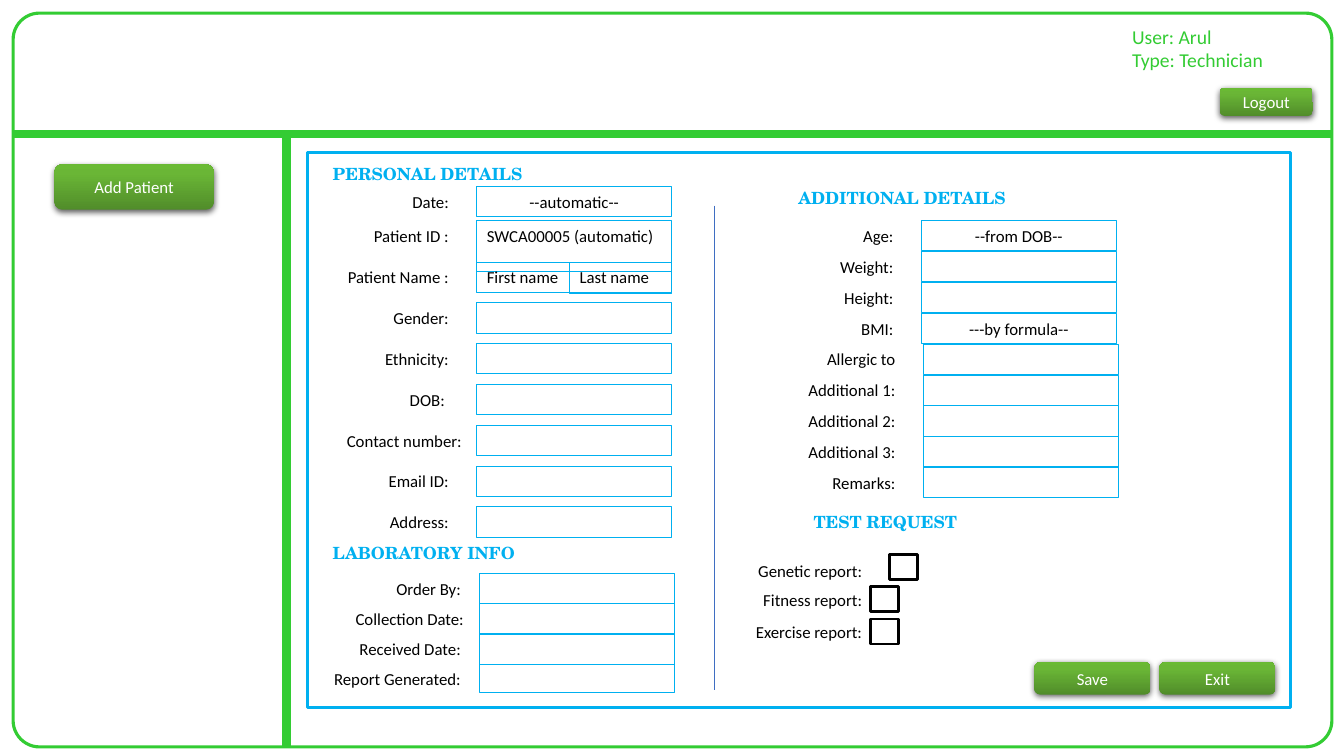
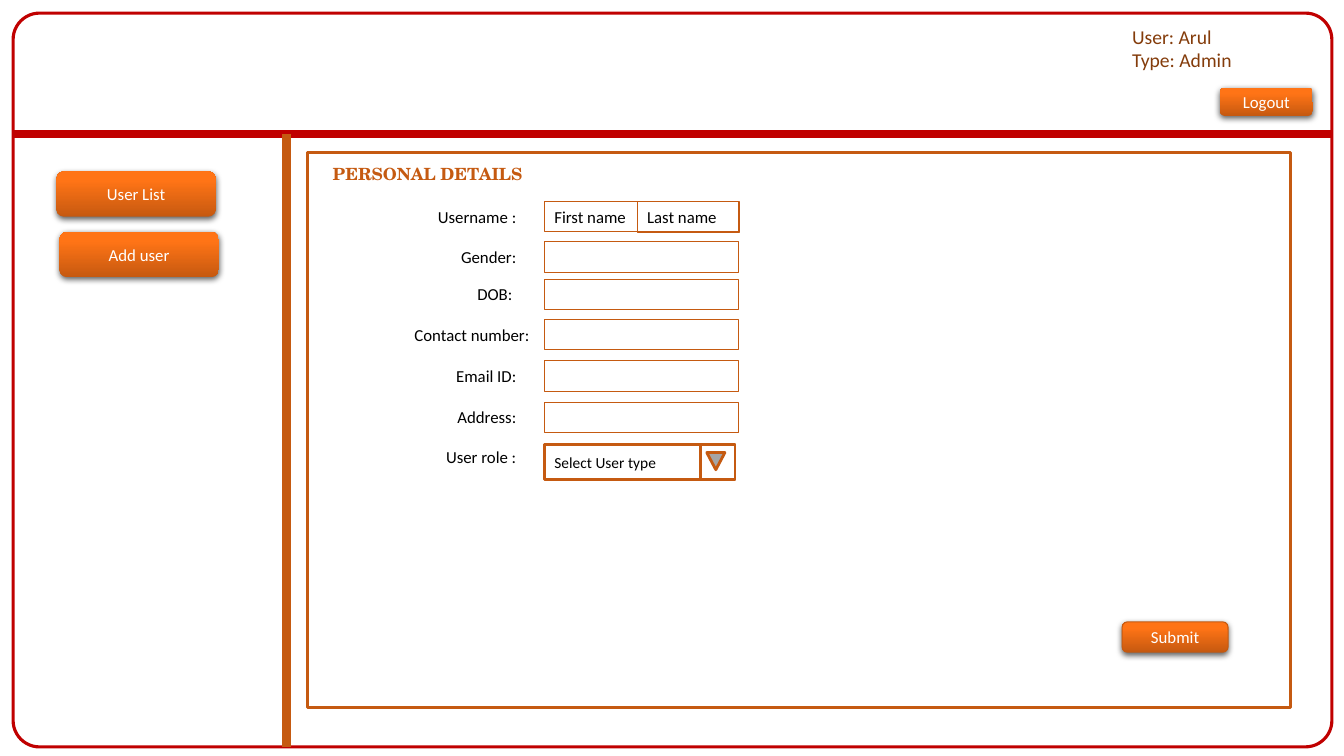
from copy import deepcopy
from dataclasses import dataclass

from pptx import Presentation
from pptx.dml.color import RGBColor
from pptx.enum.shapes import MSO_CONNECTOR, MSO_SHAPE
from pptx.enum.text import MSO_ANCHOR, PP_ALIGN
from pptx.oxml import parse_xml
from pptx.oxml.ns import nsdecls, qn
from pptx.util import Inches, Pt

BODY_FONT = "Calibri"
HEADING_FONT = "TeX Gyre Schola"
COLORS = {"black": "000000", "white": "FFFFFF", "divider": "3F6EC2", "arrow": "A5A5A5"}
TECHNICIAN = {
    "frame": "33CC33", "sidebar": "33CC33", "user": "33CC33", "form": "00B0F0",
    "button": ["518D2A", "6AB636", "6ABA34"],
}
ADMIN = {
    "frame": "C00000", "sidebar": "C55A11", "user": "843C0B", "form": "C55A11",
    "button": ["C65910", "FF7416", "FF7517"],
}
FRAME = (0.13, 0.13, 13.08, 7.28)
PANEL = (3.05, 1.51, 9.75, 5.51)
FIELD_WIDTH, FIELD_HEIGHT = 1.93, 0.3
SIDE_BUTTON = (1.58, 0.45)


@dataclass
class Field:
    label: str
    value: str = ""
    align: PP_ALIGN = PP_ALIGN.LEFT
    height: float = FIELD_HEIGHT
    nudge: float = 0
    second_value: str = ""


def rgb(color):
    return RGBColor.from_string(color)


def write(shape, text, color=COLORS["black"], size=12, font=BODY_FONT, bold=False,
          align=PP_ALIGN.LEFT, anchor=MSO_ANCHOR.TOP):
    frame = shape.text_frame
    frame.word_wrap = True
    frame.vertical_anchor = anchor
    frame.text = text
    for paragraph in frame.paragraphs:
        paragraph.alignment = align
        for run in paragraph.runs:
            run.font.name = font
            run.font.size = Pt(size)
            run.font.bold = bold
            run.font.color.rgb = rgb(color)


def add_text(slide, box, text, **style):
    write(slide.shapes.add_textbox(*map(Inches, box)), text, **style)


def add_outline(slide, box, color, width=0.75, kind=MSO_SHAPE.RECTANGLE, fill=None):
    shape = slide.shapes.add_shape(kind, *map(Inches, box))
    shape.shadow.inherit = False
    if fill:
        shape.fill.solid()
        shape.fill.fore_color.rgb = rgb(fill)
    else:
        shape.fill.background()
    shape.line.color.rgb = rgb(color)
    shape.line.width = Pt(width)
    return shape


def add_line(slide, start, end, color, width):
    line = slide.shapes.add_connector(
        MSO_CONNECTOR.STRAIGHT, *map(Inches, (*start, *end)))
    line.line.color.rgb = rgb(color)
    line.line.width = Pt(width)
    line._element.spPr.append(parse_xml(f"<a:effectLst {nsdecls('a')}/>"))


def add_button(slide, theme, box, text, line_color=None):
    button = slide.shapes.add_shape(MSO_SHAPE.ROUNDED_RECTANGLE, *map(Inches, box))
    button.fill.gradient()
    button.fill.gradient_angle = 90
    stops = button._element.spPr.find(".//" + qn("a:gsLst"))
    stops.append(deepcopy(stops[-1]))
    for stop, color, position in zip(button.fill.gradient_stops, theme["button"], (0, 0.8, 1)):
        stop.color.rgb = rgb(color)
        stop.position = position
    if line_color:
        button.line.color.rgb = rgb(line_color)
        button.line.width = Pt(0.75)
    else:
        button.line.fill.background()
    button.shadow.inherit = False
    button._element.spPr.find(qn("a:effectLst")).append(parse_xml(
        f'<a:outerShdw {nsdecls("a")} blurRad="57150" dist="19050" dir="5400000" '
        'algn="ctr" rotWithShape="0"><a:srgbClr val="000000">'
        '<a:alpha val="63000"/></a:srgbClr></a:outerShdw>'))
    write(button, text, COLORS["white"], align=PP_ALIGN.CENTER, anchor=MSO_ANCHOR.MIDDLE)


def add_heading(slide, theme, left, top, text):
    add_text(slide, (left, top, 3.01, FIELD_HEIGHT), text, color=theme["form"],
             font=HEADING_FONT, bold=True)


def add_label(slide, right, top, text):
    add_text(slide, (right - FIELD_WIDTH, top, FIELD_WIDTH, FIELD_HEIGHT), text,
             align=PP_ALIGN.RIGHT)


def add_fields(slide, theme, left, tops, fields, gap=0.18):
    """Stack entry boxes at left, each with its label ending a gap before it."""
    for top, field in zip(tops, fields):
        add_label(slide, left - gap + field.nudge, top, field.label)
        entry = add_outline(slide, (left, top, FIELD_WIDTH, field.height), theme["form"])
        if field.value:
            write(entry, field.value, align=field.align)
        if field.second_value:
            second = add_outline(slide, (left + 0.92, top, 1.01, 0.31), theme["form"])
            write(second, field.second_value)


def evenly(top, pitch, count):
    return [top + pitch * i for i in range(count)]


def name_field(label):
    return Field(label, "First name", second_value="Last name")


def contact_fields():
    return [
        Field("DOB:", nudge=-0.04),
        Field("Contact number:", nudge=0.13),
        Field("Email ID:"),
        Field("Address:"),
    ]


def screen(prs, theme, user_type):
    """Start a slide with the frame, header, sidebar rule and form panel."""
    slide = prs.slides.add_slide(prs.slide_layouts[6])
    left, top, width, height = FRAME
    frame = add_outline(slide, FRAME, theme["frame"], 2.25, MSO_SHAPE.ROUNDED_RECTANGLE)
    frame.adjustments[0] = 0.036
    header_bottom, sidebar_right = top + 1.2, left + 2.71
    add_line(slide, (left, header_bottom), (left + width, header_bottom), theme["frame"], 6)
    add_line(slide, (sidebar_right, header_bottom), (sidebar_right, top + height),
             theme["sidebar"], 6)
    add_text(slide, (left + 11, top + 0.02, 1.89, 0.66), f"User: Arul\nType: {user_type}",
             color=theme["user"], size=14, anchor=MSO_ANCHOR.MIDDLE)
    add_button(slide, theme, (left + 11.97, top + 0.74, 0.92, 0.28), "Logout")
    add_outline(slide, PANEL, theme["form"], 2)
    return slide


def patient_details(slide, theme, left, top):
    add_heading(slide, theme, left, top, "PERSONAL DETAILS")
    fields = [
        Field("Date:", "--automatic--", PP_ALIGN.CENTER),
        Field("Patient ID :", "SWCA00005 (automatic)", height=0.5),
        name_field("Patient Name :"),
        Field("Gender:"),
        Field("Ethnicity:"),
        *contact_fields(),
    ]
    tops = [top + 0.27, top + 0.61, *evenly(top + 1.02, 2.43 / 6, 7)]
    add_fields(slide, theme, left + 1.53, tops, fields)


def laboratory_info(slide, theme, left, top):
    add_heading(slide, theme, left, top, "LABORATORY INFO")
    fields = [
        Field("Order By:", nudge=-0.03),
        Field("Collection Date:"),
        Field("Received Date:", nudge=-0.03),
        Field("Report Generated:", height=0.28, nudge=-0.03),
    ]
    add_fields(slide, theme, left + 1.56, evenly(top + 0.35, 0.3, 4), fields, gap=0.06)


def additional_details(slide, theme, left, top):
    add_heading(slide, theme, left, top, "ADDITIONAL DETAILS")
    measures = [
        Field("Age:", "--from DOB--", PP_ALIGN.CENTER),
        Field("Weight:"),
        Field("Height:"),
        Field("BMI:", "---by formula--", PP_ALIGN.CENTER),
    ]
    extras = [Field(label) for label in (
        "Allergic to", "Additional 1:", "Additional 2:", "Additional 3:", "Remarks:")]
    tops = evenly(top + 0.38, 2.45 / 8, 9)
    add_fields(slide, theme, left + 1.32, tops[:4], measures)
    add_fields(slide, theme, left + 1.34, tops[4:], extras)


def test_request(slide, theme, left, top):
    add_heading(slide, theme, left, top, "TEST REQUEST")
    reports = [
        ("Genetic report:", 0.48, 0.85),
        ("Fitness report:", 0.77, 0.66),
        ("Exercise report:", 1.09, 0.66),
    ]
    for (label, label_top, box_left), box_top in zip(reports, evenly(top + 0.47, 0.32, 3)):
        add_label(slide, left + 0.68, top + label_top, label)
        add_outline(slide, (left + box_left, box_top, 0.28, 0.25), COLORS["black"], 2,
                    fill=COLORS["white"])


def role_select(slide, theme, left, top):
    role = add_outline(slide, (left, top, 1.89, 0.35), theme["form"], 2, fill=COLORS["white"])
    write(role, "Select User type", size=11, anchor=MSO_ANCHOR.MIDDLE)
    add_outline(slide, (left + 1.61, top + 0.08, 0.18, 0.17), theme["form"], 2,
                MSO_SHAPE.FLOWCHART_MERGE, COLORS["arrow"])
    add_outline(slide, (left + 1.55, top, 0.34, 0.35), theme["form"], 2)


def user_details(slide, theme, left, top):
    add_heading(slide, theme, left, top, "PERSONAL DETAILS")
    fields = [name_field("Username :"), Field("Gender:"), *contact_fields()]
    tops = [top + offset for offset in (0.42, 0.82, 1.19, 1.59, 2, 2.41)]
    fields_left = left + 2.2
    add_fields(slide, theme, fields_left, tops, fields)
    add_label(slide, fields_left - 0.18, top + 2.8, "User role :")
    role_select(slide, theme, fields_left, top + 2.83)


def add_patient_screen(prs):
    slide = screen(prs, TECHNICIAN, "Technician")
    left, top, _, _ = PANEL
    add_button(slide, TECHNICIAN, (0.54, 1.63, *SIDE_BUTTON), "Add Patient")
    patient_details(slide, TECHNICIAN, left + 0.15, top + 0.07)
    laboratory_info(slide, TECHNICIAN, left + 0.15, top + 3.83)
    add_line(slide, (left + 4.04, top + 0.53), (left + 4.04, top + 5.34),
             COLORS["divider"], 0.75)
    additional_details(slide, TECHNICIAN, left + 4.77, top + 0.3)
    test_request(slide, TECHNICIAN, left + 4.92, top + 3.52)
    for button_left, text in ((7.21, "Save"), (8.45, "Exit")):
        add_button(slide, TECHNICIAN, (left + button_left, top + 5.06, 1.15, 0.32), text)


def add_user_screen(prs):
    slide = screen(prs, ADMIN, "Admin")
    left, top, _, _ = PANEL
    add_button(slide, ADMIN, (0.56, 1.7, *SIDE_BUTTON), "User List")
    add_button(slide, ADMIN, (0.59, 2.3, *SIDE_BUTTON), "Add user")
    user_details(slide, ADMIN, left + 0.15, top + 0.07)
    add_button(slide, ADMIN, (left + 8.08, top + 4.66, 1.05, 0.3), "Submit", ADMIN["form"])


def main():
    prs = Presentation()
    prs.slide_width, prs.slide_height = Inches(13.33), Inches(7.5)
    add_patient_screen(prs)
    add_user_screen(prs)
    prs.save("out.pptx")


if __name__ == "__main__":
    main()
